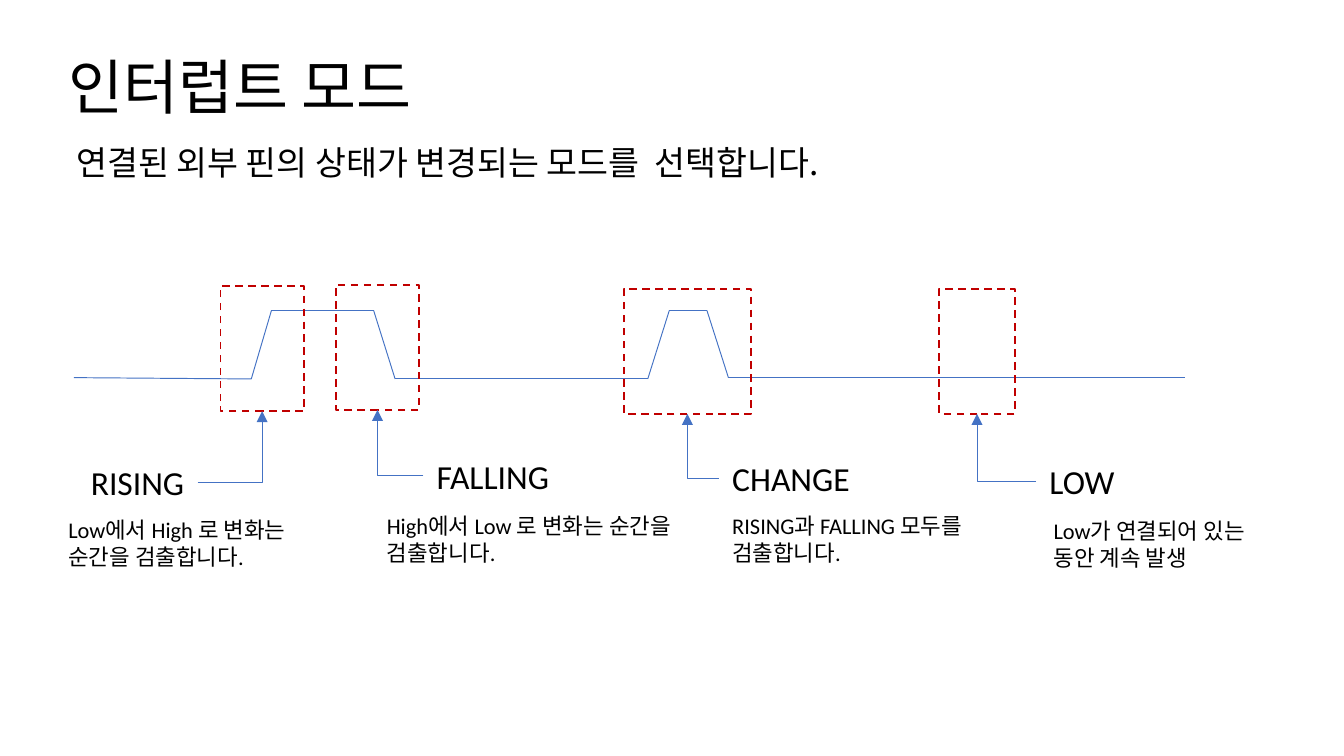
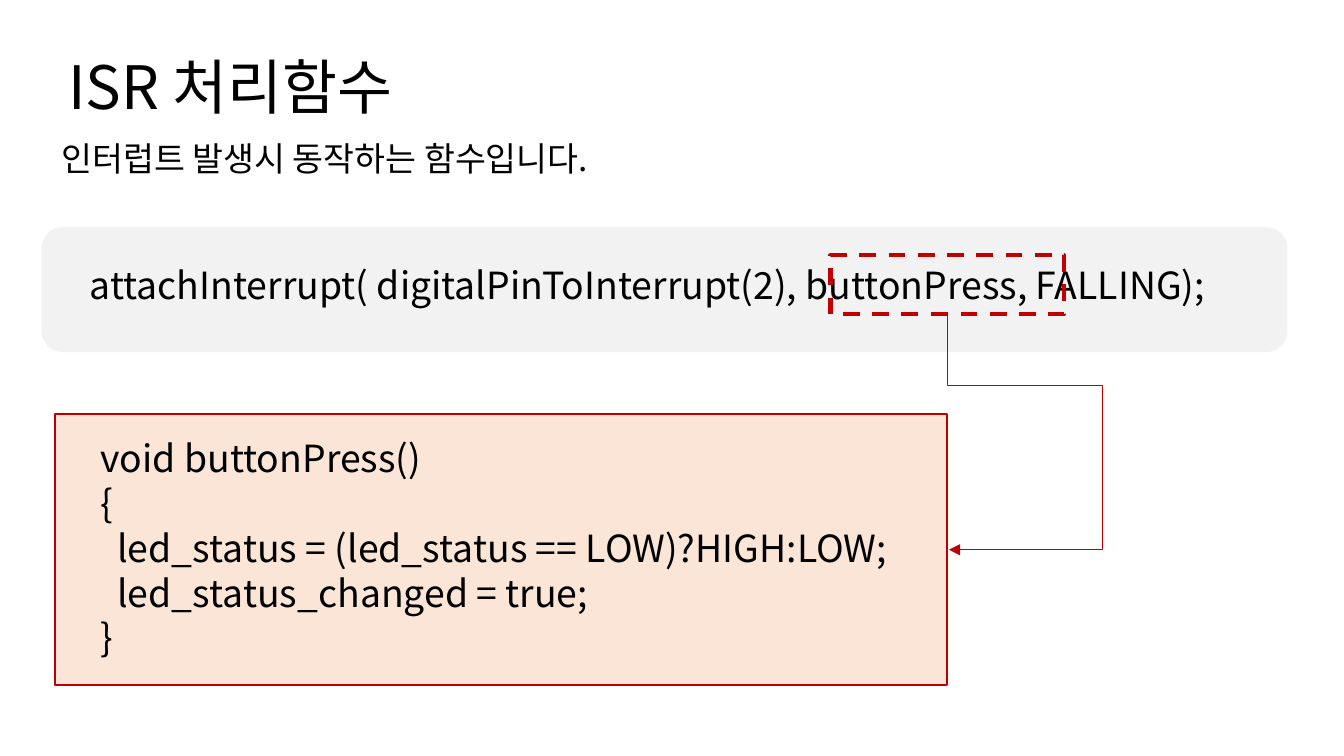
from itertools import pairwise

from lxml.etree import SubElement
from pptx import Presentation
from pptx.dml.color import RGBColor
from pptx.enum.dml import MSO_LINE
from pptx.enum.shapes import MSO_CONNECTOR, MSO_SHAPE
from pptx.enum.text import MSO_AUTO_SIZE, PP_ALIGN
from pptx.oxml.ns import qn
from pptx.util import Inches, Pt

# Shared style
KOREAN_FONT = "Noto Sans CJK KR"
LATIN_FONT = "Calibri"
BLACK = "000000"
BLUE = "4472C4"
RED = "C00000"
GRAY = "F2F2F2"
PEACH = "FBE5D6"
LABEL_HEIGHT = 0.4


def color(value):
    return RGBColor.from_string(value)


class Deck:
    """Holds the presentation, its style and the current slide."""

    def __init__(self):
        self.presentation = Presentation()
        self.presentation.slide_width = Inches(10)
        self.presentation.slide_height = Inches(10 * 9 / 16)
        self.slide = None

    def new_slide(self, title):
        blank = self.presentation.slide_layouts[6]
        self.slide = self.presentation.slides.add_slide(blank)
        self.text([title], 0.41, 0.32, 7.14, 0.64, size=32)

    def text(self, lines, left, top, width, height, size=18,
             font=KOREAN_FONT, align=PP_ALIGN.LEFT):
        box = self.slide.shapes.add_textbox(
            Inches(left), Inches(top), Inches(width), Inches(height))
        frame = box.text_frame
        frame.word_wrap = True
        frame.auto_size = MSO_AUTO_SIZE.SHAPE_TO_FIT_TEXT
        for index, line in enumerate(lines):
            paragraph = frame.add_paragraph() if index else frame.paragraphs[0]
            paragraph.alignment = align
            run = paragraph.add_run()
            run.text = line
            run.font.size = Pt(size)
            run.font.name = font
            run.font.color.rgb = color(BLACK)
            east_asian = SubElement(run.font._element, qn("a:ea"))
            east_asian.set("typeface", KOREAN_FONT)

    def box(self, left, top, width, height, fill=None, line=None,
            weight=1, dashed=False, kind=MSO_SHAPE.RECTANGLE):
        shape = self.slide.shapes.add_shape(
            kind, Inches(left), Inches(top), Inches(width), Inches(height))
        shape.shadow.inherit = False
        if fill:
            shape.fill.solid()
            shape.fill.fore_color.rgb = color(fill)
        else:
            shape.fill.background()
        if line:
            shape.line.color.rgb = color(line)
            shape.line.width = Pt(weight)
            if dashed:
                shape.line.dash_style = MSO_LINE.DASH
        else:
            shape.line.fill.background()

    def line(self, start, end, line=BLUE, kind=MSO_CONNECTOR.STRAIGHT):
        connector = self.slide.shapes.add_connector(
            kind, *(Inches(value) for value in (*start, *end)))
        connector.line.color.rgb = color(line)
        connector.line.width = Pt(0.5)
        SubElement(connector._element.spPr, qn("a:effectLst"))
        return connector

    def bent_arrow(self, start, end, preset, line=BLUE, rotation=0, adjustments=()):
        connector = self.line(start, end, line, MSO_CONNECTOR.ELBOW)
        properties = connector._element.spPr
        geometry = properties.find(qn("a:prstGeom"))
        geometry.set("prst", preset)
        guides = geometry.find(qn("a:avLst"))
        for number, value in enumerate(adjustments, 1):
            guide = SubElement(guides, qn("a:gd"))
            guide.set("name", f"adj{number}")
            guide.set("fmla", f"val {round(value * 100000)}")
        if rotation:
            properties.find(qn("a:xfrm")).set("rot", str(rotation * 60000))
        head = SubElement(properties.find(qn("a:ln")), qn("a:tailEnd"))
        head.set("type", "triangle")


def build_modes(deck):
    deck.new_slide("인터럽트 모드")
    deck.text(["연결된 외부 핀의 상태가 변경되는 모드를  선택합니다."], 0.47, 1.01, 6.64, 0.4)

    # Signal waveform
    signal = [(0.55, 2.81), (1.87, 2.82), (2.02, 2.31), (2.78, 2.31), (2.94, 2.82),
              (4.82, 2.82), (4.98, 2.31), (5.26, 2.31), (5.42, 2.81), (8.82, 2.81)]
    for start, end in pairwise(signal):
        deck.line(start, end)

    # Modes: name, label (left, top, width), description, its place, marker (left, top, width)
    modes = [
        ("RISING", (0.41, 3.39, 1.06), "Low에서 High 로 변화는 순간을 검출합니다.",
         (0.41, 3.79, 2.23), (1.64, 2.13, 0.62)),
        ("FALLING", (3.15, 3.34, 1.17), "High에서 Low 로 변화는 순간을 검출합니다.",
         (2.78, 3.76, 2.42), (2.5, 2.12, 0.62)),
        ("CHANGE", (5.35, 3.36, 1.17), "RISING과 FALLING 모두를 검출합니다.",
         (5.35, 3.76, 1.97), (4.64, 2.15, 0.95)),
        ("LOW", (7.71, 3.38, 0.83), "Low가 연결되어 있는 동안 계속 발생",
         (7.74, 3.8, 1.95), (6.99, 2.15, 0.56)),
    ]
    marker_height = 0.93
    for name, label, description, place, marker in modes:
        left, top, width = label
        marker_left, marker_top, marker_width = marker
        target = (marker_left + marker_width / 2, marker_top + marker_height)
        before_marker = left < marker_left
        align = PP_ALIGN.RIGHT if before_marker else PP_ALIGN.LEFT
        side = left + width if before_marker else left

        deck.text([name], *label, LABEL_HEIGHT, font=LATIN_FONT, align=align)
        deck.text([description], *place, 0.5, size=12, font=LATIN_FONT)
        deck.box(*marker, marker_height, line=RED, dashed=True)
        deck.bent_arrow((side, top + LABEL_HEIGHT / 2), target, "bentConnector2")


def build_handler(deck):
    deck.new_slide("ISR 처리함수")
    deck.text(["인터럽트 발생시 동작하는 함수입니다."], 0.36, 0.98, 4.57, 0.4)

    # Call that registers the handler
    deck.box(0.31, 1.69, 9.27, 0.93, fill=GRAY, kind=MSO_SHAPE.ROUNDED_RECTANGLE)
    deck.text(["attachInterrupt( digitalPinToInterrupt(2), buttonPress, FALLING);"],
              0.57, 1.9, 9.17, 0.44, size=20)
    deck.box(6.18, 1.9, 1.74, 0.44, line=RED, weight=2.25, dashed=True)

    # Handler code
    deck.box(0.41, 3.08, 6.64, 2.02, fill=PEACH, line=RED)
    deck.text(["void buttonPress()",
               "{",
               "  led_status = (led_status == LOW)?HIGH:LOW;",
               "  led_status_changed = true;",
               "}"], 0.65, 3.19, 6.29, 1.78, size=20)

    # Arrow from the argument round to the handler's right side
    deck.bent_arrow((7.93, 3.21), (6.18, 3.22), "bentConnector4", RED,
                    rotation=270, adjustments=(0.3, 117))


def main():
    deck = Deck()
    build_modes(deck)
    build_handler(deck)
    deck.presentation.save("out.pptx")


if __name__ == "__main__":
    main()
